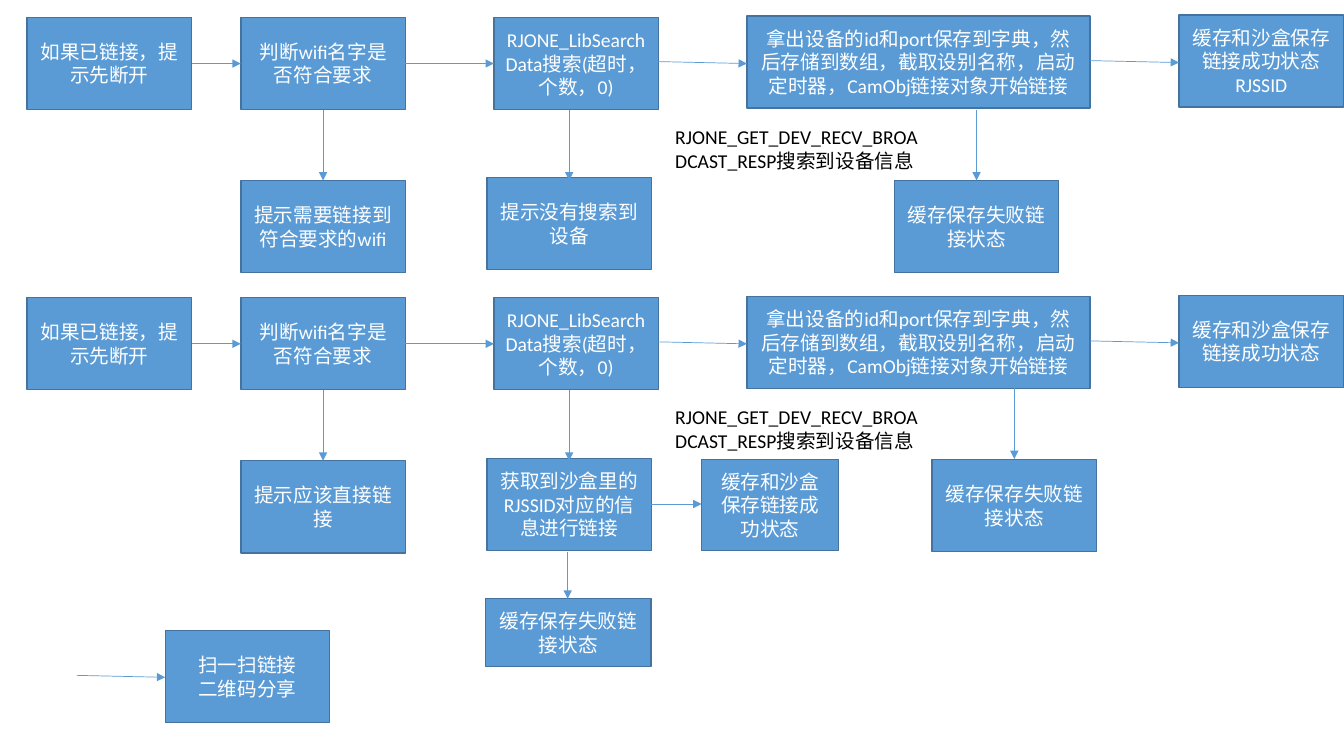
from dataclasses import dataclass

from lxml import etree
from pptx import Presentation
from pptx.dml.color import RGBColor
from pptx.enum.shapes import MSO_CONNECTOR, MSO_SHAPE
from pptx.enum.text import MSO_ANCHOR, MSO_AUTO_SIZE, PP_ALIGN
from pptx.oxml.ns import qn
from pptx.util import Pt

RECTANGLE = MSO_SHAPE.RECTANGLE
STRAIGHT = MSO_CONNECTOR.STRAIGHT
MIDDLE = MSO_ANCHOR.MIDDLE
CENTER = PP_ALIGN.CENTER
LEFT = PP_ALIGN.LEFT
FIT_SHAPE = MSO_AUTO_SIZE.SHAPE_TO_FIT_TEXT


@dataclass(frozen=True)
class Theme:
    """Colours, type and line sizes of the flowchart."""
    blue: RGBColor = RGBColor(0x5B, 0x9B, 0xD5)
    edge: RGBColor = RGBColor(0x43, 0x73, 0x9E)
    white: RGBColor = RGBColor(0xFF, 0xFF, 0xFF)
    black: RGBColor = RGBColor(0, 0, 0)
    font: str = "Calibri"
    size: Pt = Pt(14)
    edge_width: Pt = Pt(1)
    arrow_width: Pt = Pt(0.5)


THEME = Theme()
STEP_WIDTH, STEP_HEIGHT = 117.5, 65.8
FLOW_TOPS = (12.3, 212.5)
DROP_START, DROP_LENGTH = 66.2, 50.4

SAVED = "缓存和沙盒保存链接成功状态"
FAILED = "缓存保存失败链接状态"
FOUND = "RJONE_GET_DEV_RECV_BROADCAST_RESP搜索到设备信息"
STEPS = (
    (19.4, 0, STEP_WIDTH, "如果已链接，提示先断开"),
    (172, 0, STEP_WIDTH, "判断wifi名字是否符合要求"),
    (352.8, 0, STEP_WIDTH, "RJONE_LibSearchData搜索(超时，个数，0)"),
    (533.5, -0.9, 245, "拿出设备的id和port保存到字典，然后存储到数组，"
                       "截取设别名称，启动定时器，CamObj链接对象开始链接"),
    (842.2, -1.6, STEP_WIDTH, SAVED),
)
STEP_ARROWS = ((33.1, 33.1), (33.1, 33.1), (31.7, 33.1), (31, 32.4))
FLOWS = (
    ("RJSSID", (
        (172, 116.6, 0, "提示需要链接到符合要求的wifi"),
        (347.8, 114.6, 0, "提示没有搜索到设备"),
        (638.8, 116.6, 0, FAILED),
    )),
    ("", (
        (172, 116.6, 0, "提示应该直接链接"),
        (347.8, 114.9, 0, "获取到沙盒里的RJSSID对应的信息进行链接"),
        (665.8, 115.8, -1.2, FAILED),
    )),
)


def apply_format(target, values):
    """Set each named attribute on the target."""
    for attribute, value in values.items():
        setattr(target, attribute, value)


def write_text(frame, text, color, alignment):
    """Fill a text frame with one paragraph per line of text."""
    frame.word_wrap = True
    frame.text = text
    for paragraph in frame.paragraphs:
        paragraph.alignment = alignment
        for run in paragraph.runs:
            apply_format(run.font, {"name": THEME.font, "size": THEME.size})
            run.font.color.rgb = color


def add_step(slide, left, top, text, width=STEP_WIDTH, height=STEP_HEIGHT):
    """Draw one flowchart step."""
    step = slide.shapes.add_shape(RECTANGLE, Pt(left), Pt(top), Pt(width), Pt(height))
    step.shadow.inherit = False
    step.fill.solid()
    step.fill.fore_color.rgb = THEME.blue
    step.line.color.rgb = THEME.edge
    step.line.width = THEME.edge_width
    step.text_frame.vertical_anchor = MIDDLE
    write_text(step.text_frame, text, THEME.white, CENTER)


def add_arrow(slide, x1, y1, x2, y2):
    """Draw a thin arrow that points at its second end."""
    arrow = slide.shapes.add_connector(STRAIGHT, Pt(x1), Pt(y1), Pt(x2), Pt(y2))
    arrow.line.color.rgb = THEME.blue
    arrow.line.width = THEME.arrow_width
    etree.SubElement(arrow.line._get_or_add_ln(), qn("a:tailEnd"), type="triangle")
    etree.SubElement(arrow._element.spPr, qn("a:effectLst"))


def add_note(slide, left, top, text):
    """Write a free label beside an arrow."""
    note = slide.shapes.add_textbox(Pt(left), Pt(top), Pt(190), Pt(41))
    write_text(note.text_frame, text, THEME.black, LEFT)
    note.text_frame.auto_size = FIT_SHAPE


def add_flow(slide, top, saved_key, outcomes):
    """Draw a row of steps with the outcomes below it."""
    for left, shift, width, text in STEPS:
        label = text + saved_key if text == SAVED else text
        add_step(slide, left, top + shift, label, width)
    for source, target, (start, end) in zip(STEPS, STEPS[1:], STEP_ARROWS):
        add_arrow(slide, source[0] + source[2], top + start, target[0], top + end)
    for left, drop, arrow_shift, text in outcomes:
        center = left + STEP_WIDTH / 2
        arrow_top = top + DROP_START + arrow_shift
        add_step(slide, left, top + drop, text)
        add_arrow(slide, center, arrow_top, center, arrow_top + DROP_LENGTH)
    add_note(slide, 475.2, top + 73.4, FOUND)


def main():
    """Build and save the connection flowchart."""
    deck = Presentation()
    apply_format(deck, {"slide_width": Pt(960), "slide_height": Pt(540)})
    slide = deck.slides.add_slide(deck.slide_layouts[6])
    for top, (saved_key, outcomes) in zip(FLOW_TOPS, FLOWS):
        add_flow(slide, top, saved_key, outcomes)
    add_step(slide, 501.1, 328.3, SAVED, 98, 65)
    add_arrow(slide, 458, 360, 501.1, 360)
    add_step(slide, 347, 427.7, FAILED, 118, 48.5)
    add_arrow(slide, 405.5, 394.6, 405.5, 427.7)
    add_step(slide, 118, 450.4, "扫一扫链接\n二维码分享")
    add_arrow(slide, 54.7, 482.4, 118, 483.8)
    deck.save("out.pptx")


if __name__ == "__main__":
    main()
